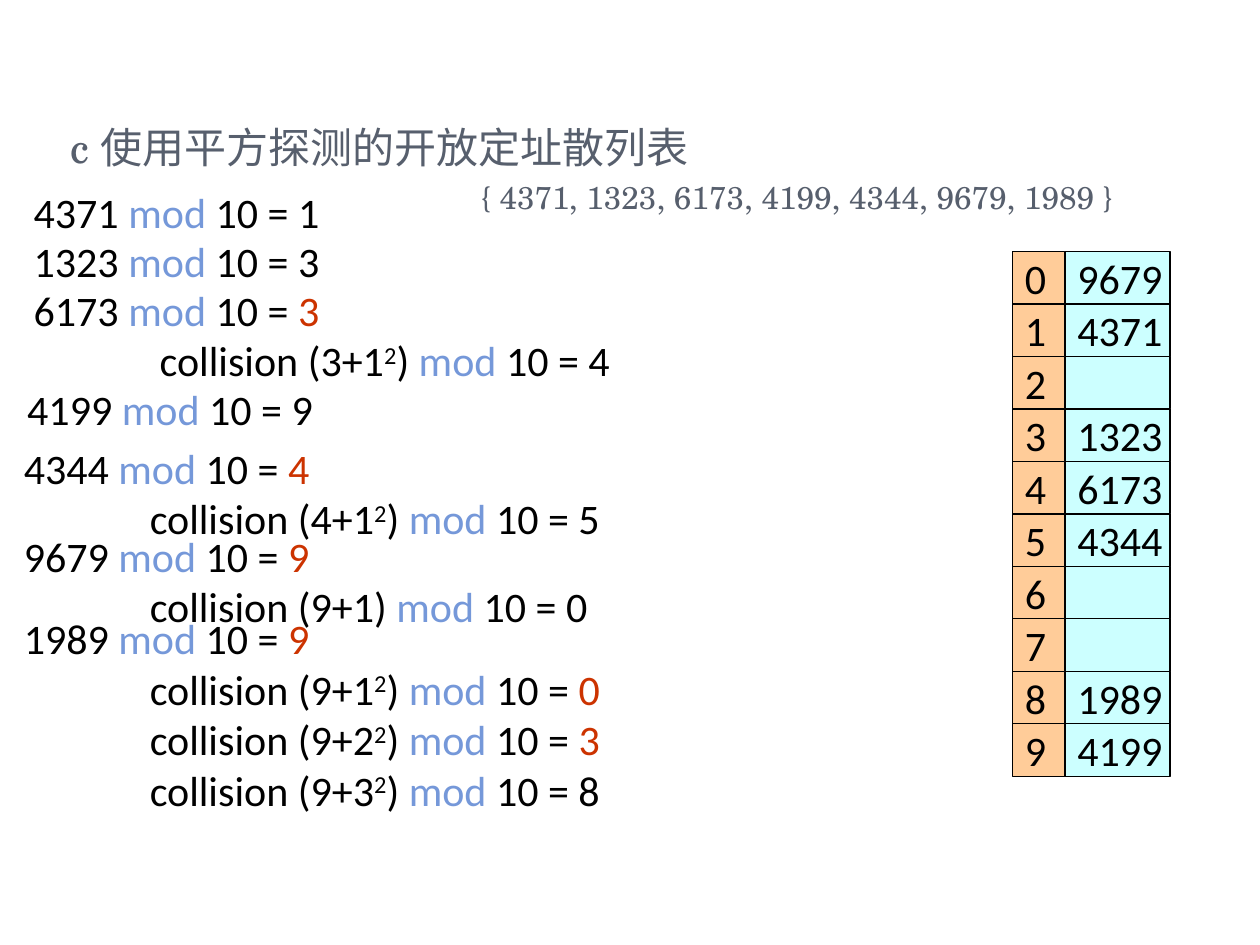
from dataclasses import dataclass

from pptx import Presentation
from pptx.dml.color import RGBColor
from pptx.enum.shapes import MSO_SHAPE
from pptx.enum.text import MSO_ANCHOR, MSO_AUTO_SIZE, PP_ALIGN
from pptx.util import Cm, Pt

RECTANGLE = MSO_SHAPE.RECTANGLE
TOP, MIDDLE = MSO_ANCHOR.TOP, MSO_ANCHOR.MIDDLE
LEFT = PP_ALIGN.LEFT
FIXED, GROW = MSO_AUTO_SIZE.NONE, MSO_AUTO_SIZE.SHAPE_TO_FIT_TEXT

BLACK, BLUE, RED, SLATE = "000000", "7598D9", "CC3300", "575F6D"
INDEX_FILL, VALUE_FILL = "FFCC99", "CCFFFF"
BODY_FONT, HEADING_FONT = "Calibri", "TeX Gyre Schola"


@dataclass
class Step:
    """One line such as "6173 mod 10 = 3"; a collision shows in red."""
    lead: str
    result: str
    collides: bool = False


@dataclass
class Probe(Step):
    """An indented retry; a squared offset has a raised 2."""
    squared: bool = True


@dataclass
class Insertion:
    left: float
    top: float
    width: float
    steps: list[Step]


INSERTIONS = [
    Insertion(0.43, 3.63, 6.48, [Step("4371", "1")]),
    Insertion(0.43, 4.62, 6.48, [Step("1323", "3")]),
    Insertion(0.43, 5.61, 14.2, [Step("6173", "3", True), Probe("3+1", "4")]),
    Insertion(0.3, 7.61, 6.48, [Step("4199", "9")]),
    Insertion(0.23, 8.79, 14.2, [Step("4344", "4", True), Probe("4+1", "5")]),
    Insertion(0.23, 10.57, 14.2, [Step("9679", "9", True),
                                  Probe("9+1", "0", squared=False)]),
    Insertion(0.23, 12.23, 13.92, [Step("1989", "9", True), Probe("9+1", "0", True),
                                   Probe("9+2", "3", True), Probe("9+3", "8")]),
]
SLOTS = ["9679", "4371", "", "1323", "6173", "4344", "", "", "1989", "4199"]


def color(value: str) -> RGBColor:
    return RGBColor.from_string(value)


def set_font(para, size: float, name: str, shade: str) -> None:
    para.font.size = Pt(size)
    para.font.name = name
    para.font.color.rgb = color(shade)


def add_span(para, text: str, shade: str = BLACK, raised: bool = False) -> None:
    span = para.add_run()
    span.text = text
    span.font.color.rgb = color(shade)
    if raised:
        span.font._element.set("baseline", "30000")


def write_step(para, step: Step) -> None:
    para._p.get_or_add_pPr().set("defTabSz", str(Cm(2.54)))
    set_font(para, 24, BODY_FONT, BLACK)
    if isinstance(step, Probe):
        add_span(para, f"\tcollision ({step.lead}")
        if step.squared:
            add_span(para, "2", raised=True)
        add_span(para, ") ")
    else:
        add_span(para, f"{step.lead} ")
    add_span(para, "mod", BLUE)
    add_span(para, " 10 = ")
    add_span(para, step.result, RED if step.collides else BLACK)


def add_insertion(page, insertion: Insertion) -> None:
    height = 0.25 + 1.03 * len(insertion.steps)
    box = page.shapes.add_textbox(Cm(insertion.left), Cm(insertion.top),
                                  Cm(insertion.width), Cm(height))
    frame = box.text_frame
    frame.word_wrap = True
    frame.auto_size = GROW
    for number, step in enumerate(insertion.steps):
        write_step(frame.add_paragraph() if number else frame.paragraphs[0], step)


def add_cell(page, left: float, top: float, width: float, height: float,
             text: str, fill: str) -> None:
    cell = page.shapes.add_shape(RECTANGLE, Cm(left), Cm(top), Cm(width), Cm(height))
    cell.shadow.inherit = False
    cell.fill.solid()
    cell.fill.fore_color.rgb = color(fill)
    cell.line.color.rgb = color(BLACK)
    cell.line.width = Pt(0.75)
    frame = cell.text_frame
    frame.word_wrap = False
    frame.vertical_anchor = MIDDLE
    if text:
        para = frame.paragraphs[0]
        para.alignment = LEFT
        set_font(para, 24, BODY_FONT, BLACK)
        add_span(para, text)


def add_heading(page) -> None:
    title = page.shapes.title
    title.left, title.top = Cm(1.16), Cm(2.32)
    title.width, title.height = Cm(24.13), Cm(12.57)
    frame = title.text_frame
    frame.auto_size = FIXED
    frame.vertical_anchor = TOP
    heading, keys = frame.paragraphs[0], frame.add_paragraph()
    keys.space_before = Pt(3.6)
    keys._p.get_or_add_pPr().set("marL", str(Cm(8.27)))
    for para, text, size in [
        (heading, "c 使用平方探测的开放定址散列表", 24),
        (keys, "{ 4371, 1323, 6173, 4199, 4344, 9679, 1989 }", 18),
    ]:
        para.alignment = LEFT
        set_font(para, size, HEADING_FONT, SLATE)
        add_span(para, text, SLATE)


def add_hash_table(page, left: float, top: float, height: float) -> None:
    side, value_width = height / len(SLOTS), 2.12
    for index, value in enumerate(SLOTS):
        row_top = top + index * side
        add_cell(page, left + side, row_top, value_width, side, value, VALUE_FILL)
        add_cell(page, left, row_top, side, side, str(index), INDEX_FILL)


def main() -> None:
    deck = Presentation()
    deck.slide_width, deck.slide_height = Cm(25.4), Cm(19.05)
    page = deck.slides.add_slide(deck.slide_layouts[5])

    # Heading with the keys to insert
    add_heading(page)

    # Worked insertions
    for insertion in INSERTIONS:
        add_insertion(page, insertion)

    # Resulting hash table
    add_hash_table(page, 20.41, 5.07, 10.58)

    deck.save("out.pptx")


if __name__ == "__main__":
    main()
